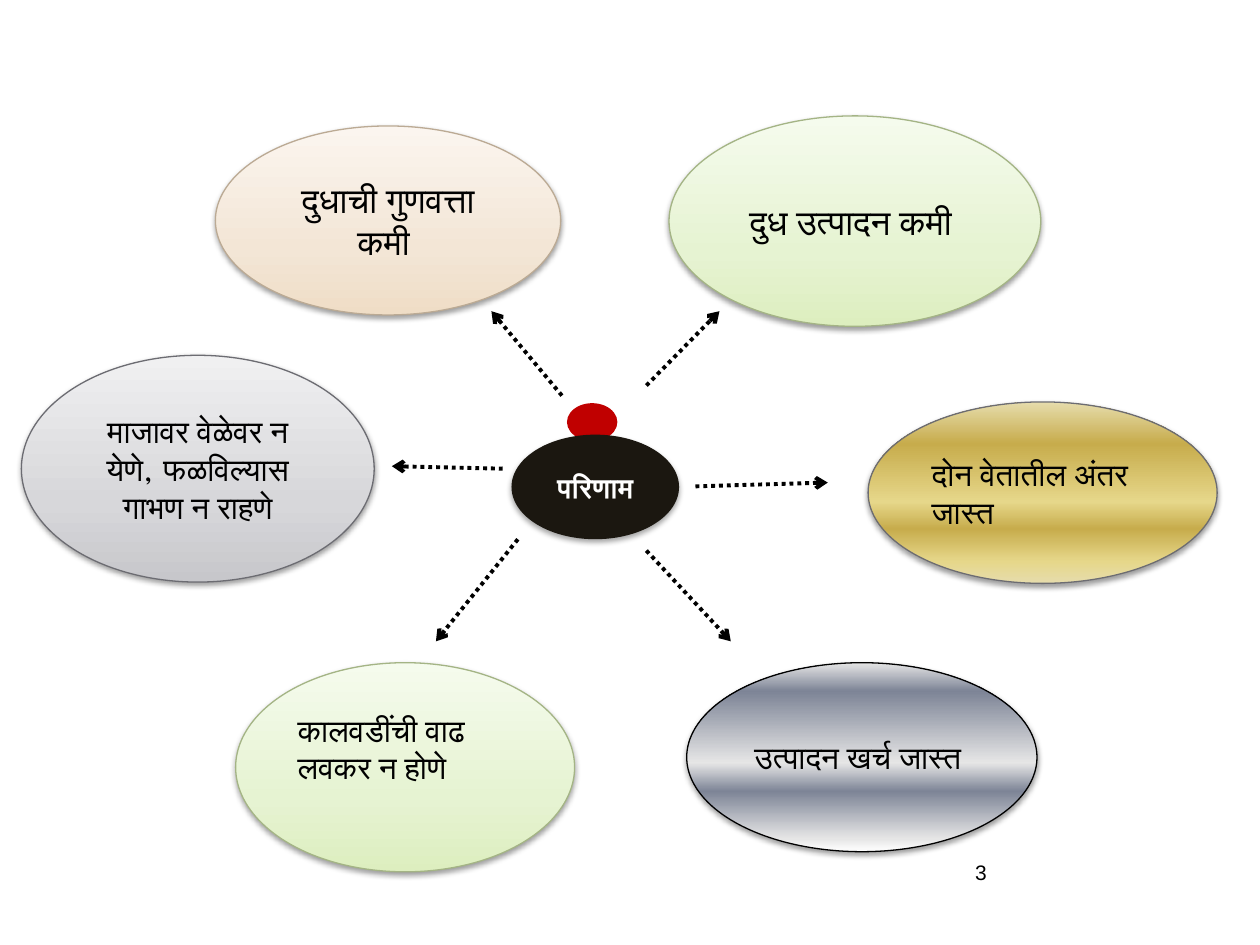
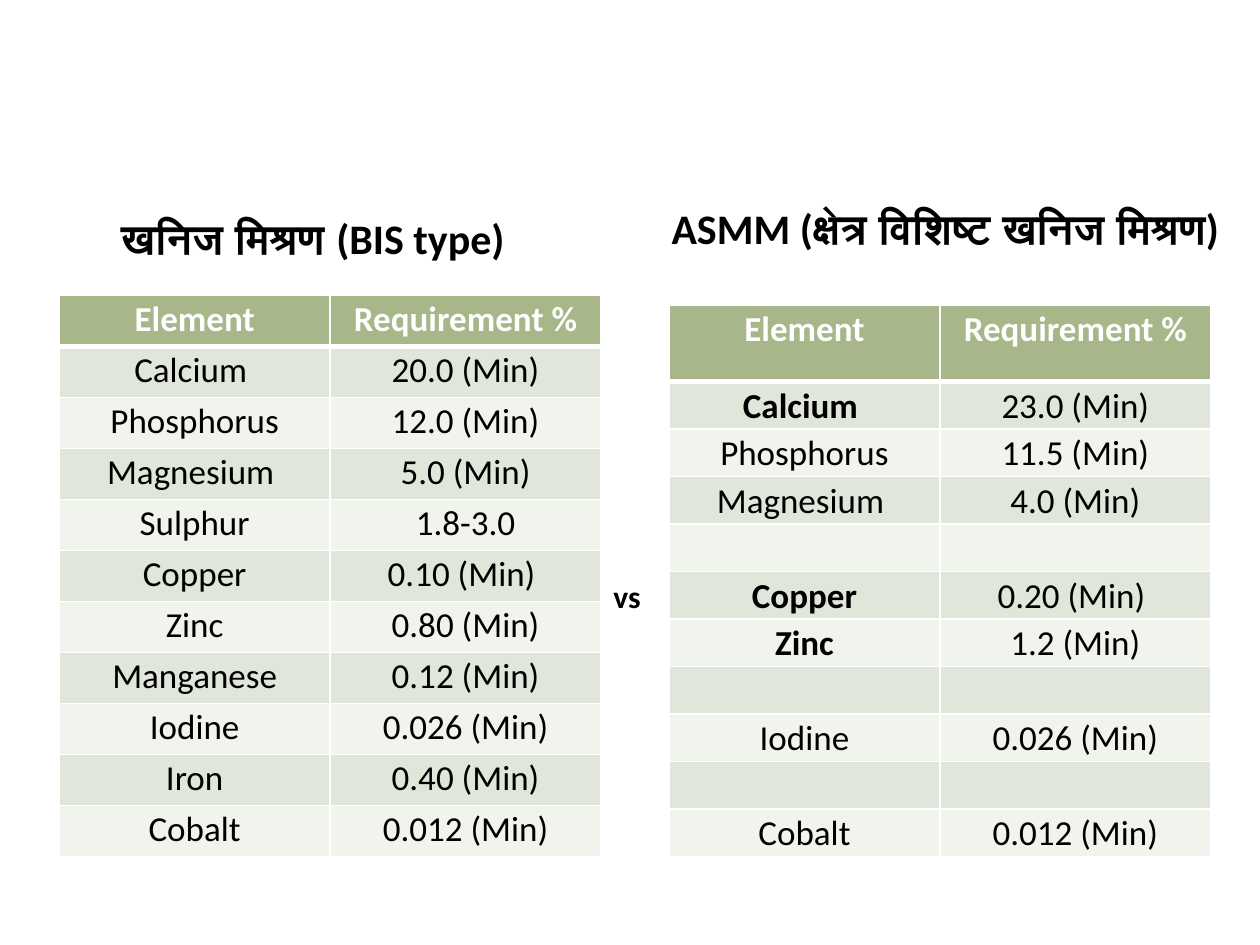
from lxml.etree import SubElement
from pptx import Presentation
from pptx.dml.color import RGBColor
from pptx.enum.dml import MSO_LINE
from pptx.enum.shapes import MSO_CONNECTOR, MSO_SHAPE
from pptx.enum.text import MSO_ANCHOR, PP_ALIGN
from pptx.oxml.ns import qn
from pptx.util import Pt

PX = 9144  # 100 px to the inch
COLOURS = {
    "ink": "000000", "white": "FFFFFF", "hub": "1B1710", "dot": "C00000",
    "header": "A7B789", "odd_row": "E1E6DA", "even_row": "F1F3ED",
    "sand_edge": "BBAA94", "grey_edge": "6C6C72", "green_edge": "A4B485",
}
GRADIENTS = {
    "sand": [(0, "EFDDC6"), (35, "F3E6D6"), (100, "FBF5EF")],
    "grey": [(0, "C7C7CB"), (35, "D7D7DA"), (100, "F0F0F1")],
    "green": [(0, "DDEEBF"), (35, "E6F3D2"), (100, "F5FBED")],
    "silver": [(0, "FFFFFF"), (7, "E6E6E6"), (32, "7D8496"),
               (47, "E6E6E6"), (85, "7D8496"), (100, "E6E6E6")],
    "gold": [(0, "E6DCAC"), (12, "E6D78A"), (30, "C7AC4C"),
             (45, "E6D78A"), (77, "C7AC4C"), (100, "E6DCAC")],
}
SERIF, BONUM, SANS = "Times New Roman", "TeX Gyre Bonum", "Calibri"
CENTER, LEFT = PP_ALIGN.CENTER, PP_ALIGN.LEFT

# box, gradient, edge colour, text, font, size, alignment, bottom inset
EFFECTS = [
    ((171, 100, 274, 150), "sand", "sand_edge", "दुधाची गुणवत्ता कमी ", SERIF, 20, CENTER, 5),
    ((17, 282, 280, 180), "grey", "grey_edge",
     "माजावर वेळेवर न येणे, फळविल्यास गाभण न राहणे", BONUM, 18, CENTER, 5),
    ((187, 526, 269, 166), "green", "green_edge", "कालवडींची वाढ लवकर न होणे", BONUM, 18, LEFT, 35),
    ((545, 526, 278, 150), "silver", "ink", "उत्पादन खर्च जास्त ", SERIF, 18, CENTER, 5),
    ((531, 92, 295, 167), "green", "green_edge", "दुध उत्पादन कमी ", SERIF, 20, CENTER, 5),
    ((689, 319, 277, 144), "gold", "grey_edge", "दोन वेतातील अंतर जास्त", SERIF, 18, LEFT, 5),
]
ARROWS = [
    (513, 437, 580, 509), (552, 386, 657, 383), (513, 306, 571, 247),
    (446, 314, 390, 247), (399, 372, 311, 370), (411, 428, 346, 509),
]
BIS_ROWS = [
    ("Calcium ", "20.0 (Min)"), ("Phosphorus", "12.0 (Min)"),
    ("Magnesium ", "5.0 (Min)"), ("Sulphur", "1.8-3.0"),
    ("Copper", "0.10 (Min) "), ("Zinc", "0.80 (Min)"),
    ("Manganese", "0.12 (Min)"), ("Iodine", "0.026 (Min)"),
    ("Iron", "0.40 (Min)"), ("Cobalt", "0.012 (Min)"),
]
ASMM_ROWS = [
    ("Calcium ", "23.0 (Min)"), ("Phosphorus", "11.5 (Min)"),
    ("Magnesium ", "4.0 (Min)"), ("", ""),
    ("Copper", "0.20 (Min) "), ("Zinc", "1.2 (Min)"), ("", ""),
    ("Iodine", "0.026 (Min)"), ("", ""), ("Cobalt", "0.012 (Min)"),
]


def rgb(name):
    return RGBColor.from_string(COLOURS[name])


def emu(box):
    return [round(length * PX) for length in box]


def write(frame, text, font, size, colour="ink", bold=False, align=LEFT):
    paragraph = frame.paragraphs[0]
    paragraph.alignment = align
    run = paragraph.add_run()
    run.text = text
    run.font.name, run.font.size, run.font.bold = font, Pt(size), bold
    run.font.color.rgb = rgb(colour)
    return paragraph


def label(slide, box, text, font, size, bold=False, anchor=MSO_ANCHOR.TOP):
    frame = slide.shapes.add_textbox(*emu(box)).text_frame
    frame.word_wrap = True
    frame.vertical_anchor = anchor
    write(frame, text, font, size, bold=bold)


def ellipse(slide, box):
    oval = slide.shapes.add_shape(MSO_SHAPE.OVAL, *emu(box))
    oval.shadow.inherit = False
    oval.line.fill.background()
    oval.text_frame.word_wrap = True
    oval.text_frame.vertical_anchor = MSO_ANCHOR.MIDDLE
    return oval


def drop_shadow(oval, distance, opacity):
    effects = oval._element.spPr.find(qn("a:effectLst"))
    shadow = SubElement(effects, qn("a:outerShdw"), blurRad="40000", dist=str(distance),
                        dir="5400000", rotWithShape="0")
    black = SubElement(shadow, qn("a:srgbClr"), val=COLOURS["ink"])
    SubElement(black, qn("a:alpha"), val=str(opacity * 1000))


def gradient_fill(oval, stops):
    """Fill from bottom to top with any number of (percent, hex) stops."""
    oval.fill.gradient()
    oval.fill.gradient_angle = 90
    stop_list = oval._element.spPr.find(qn("a:gradFill")).find(qn("a:gsLst"))
    for old_stop in list(stop_list):
        stop_list.remove(old_stop)
    for percent, colour in stops:
        stop = SubElement(stop_list, qn("a:gs"), pos=str(percent * 1000))
        SubElement(stop, qn("a:srgbClr"), val=colour)


def effect_bubble(slide, box, gradient, edge, text, font, size, align, bottom):
    bubble = ellipse(slide, box)
    gradient_fill(bubble, GRADIENTS[gradient])
    bubble.line.color.rgb = rgb(edge)
    bubble.line.width = Pt(0.75)
    drop_shadow(bubble, 20000, 38)
    bubble.text_frame.margin_bottom = bottom * PX
    write(bubble.text_frame, text, font, size, align=align)


def dotted_arrow(slide, ends):
    arrow = slide.shapes.add_connector(MSO_CONNECTOR.STRAIGHT, *emu(ends))
    arrow.line.color.rgb = rgb("ink")
    arrow.line.width = Pt(2.25)
    arrow.line.dash_style = MSO_LINE.ROUND_DOT
    properties = arrow._element.spPr
    SubElement(properties.find(qn("a:ln")), qn("a:tailEnd"), type="arrow")
    SubElement(properties, qn("a:effectLst"))


def hub(slide, box):
    left, top, width, _ = box
    dot = ellipse(slide, (left + 44, top - 25, 40, 30))
    core = ellipse(slide, box)
    for oval, colour in ((dot, "dot"), (core, "hub")):
        oval.fill.solid()
        oval.fill.fore_color.rgb = rgb(colour)
    drop_shadow(core, 23000, 35)
    write(core.text_frame, "परिणाम", SANS, 16, "white", True, CENTER)


def effects_slide(prs):
    slide = prs.slides.add_slide(prs.slide_layouts[6])
    label(slide, (764, 672, 233, 40), "3", "Arial", 12, anchor=MSO_ANCHOR.MIDDLE)
    for effect in EFFECTS:
        effect_bubble(slide, *effect)
    for ends in ARROWS:
        dotted_arrow(slide, ends)
    hub(slide, (406, 345, 133, 83))


def style_cell(cell, text, fill, colour, bold, bottom_border):
    cell.margin_left = cell.margin_right = 7 * PX
    cell.margin_top = cell.margin_bottom = 0
    properties = cell._tc.get_or_add_tcPr()
    for side, width in (("L", 1), ("R", 1), ("T", 1), ("B", bottom_border)):
        border = SubElement(properties, qn(f"a:ln{side}"), w=str(Pt(width)))
        paint = SubElement(border, qn("a:solidFill"))
        SubElement(paint, qn("a:srgbClr"), val=COLOURS["white"])
    cell.fill.solid()
    cell.fill.fore_color.rgb = rgb(fill)
    if text:
        write(cell.text_frame, text, SANS, 20, colour, bold, CENTER).line_spacing = 1.07


def mineral_table(slide, box, header_height, rows, highlighted=()):
    table = slide.shapes.add_table(len(rows) + 1, 2, *emu(box)).table
    row_height = (box[3] - header_height) / len(rows)
    for index, values in enumerate([("Element", "Requirement %"), *rows]):
        is_header = index == 0
        table.rows[index].height = round((header_height if is_header else row_height) * PX)
        fill = "header" if is_header else "odd_row" if index % 2 else "even_row"
        for column, text in enumerate(values):
            bold = is_header or (column == 0 and text.strip() in highlighted)
            style_cell(table.cell(index, column), text, fill,
                       "white" if is_header else "ink", bold, 3 if is_header else 1)


def heading(placeholder, box, text):
    placeholder.left, placeholder.top, placeholder.width, placeholder.height = emu(box)
    frame = placeholder.text_frame
    frame.vertical_anchor = MSO_ANCHOR.TOP
    write(frame, text, SANS, 24, bold=True).space_before = Pt(0)


def comparison_slide(prs):
    slide = prs.slides.add_slide(prs.slide_layouts[4])
    headings = {
        1: ((86, 164, 363, 50), "खनिज मिश्रण (BIS type)"),
        3: ((523, 156, 470, 50), "ASMM (क्षेत्र विशिष्ट खनिज मिश्रण)"),
    }
    for placeholder in list(slide.placeholders):
        position = placeholder.placeholder_format.idx
        if position in headings:
            heading(placeholder, *headings[position])
        else:
            placeholder._element.getparent().remove(placeholder._element)
    mineral_table(slide, (47, 234, 430, 446), 41, BIS_ROWS)
    label(slide, (477, 453, 42, 40), "vs", SANS, 18, bold=True)
    mineral_table(slide, (531, 242, 430, 438), 61, ASMM_ROWS, {"Calcium", "Copper", "Zinc"})


def main():
    prs = Presentation()
    prs.slide_width, prs.slide_height = emu((1000, 750))
    effects_slide(prs)
    comparison_slide(prs)
    prs.save("out.pptx")


if __name__ == "__main__":
    main()
